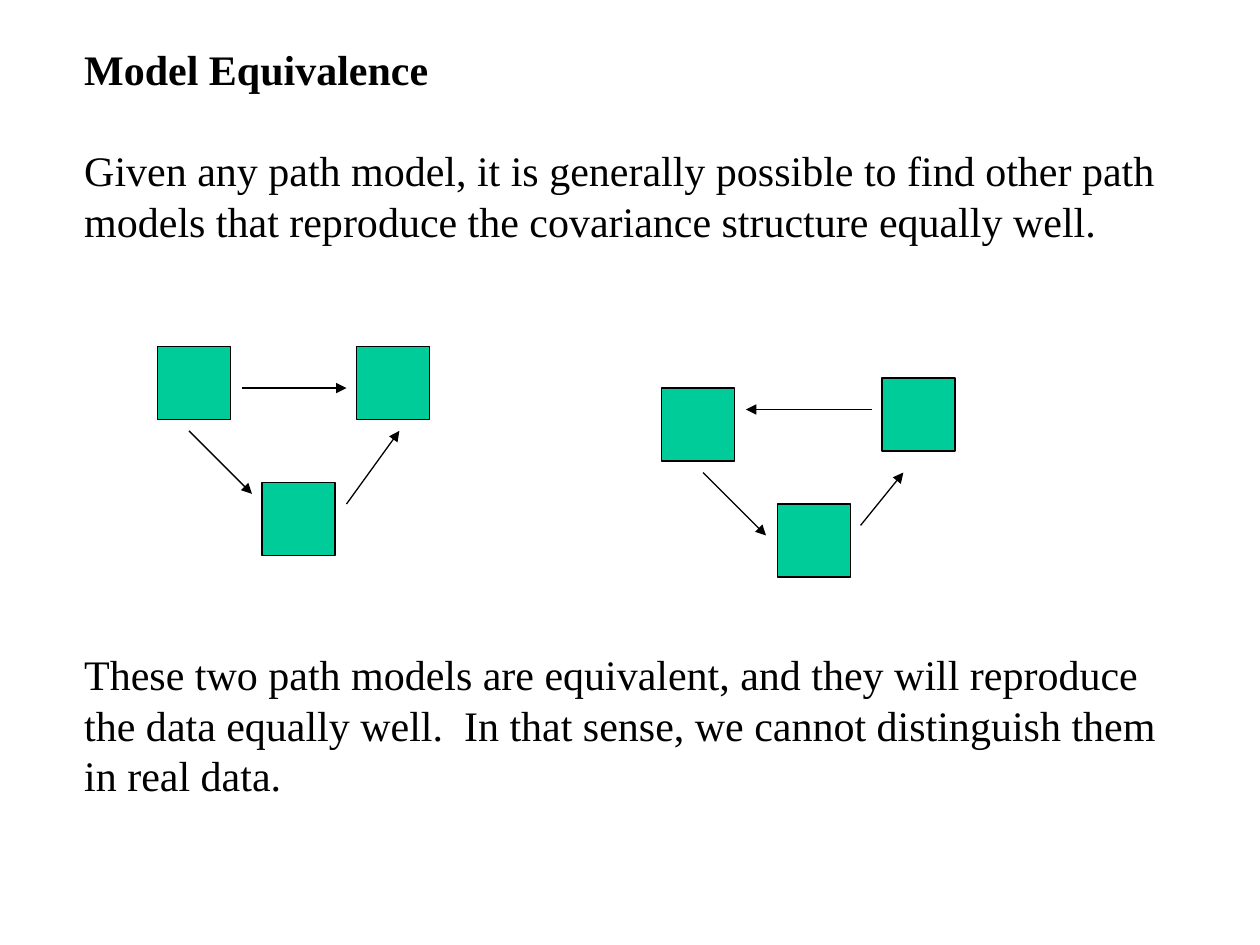
from pptx import Presentation
from pptx.dml.color import RGBColor
from pptx.enum.shapes import MSO_CONNECTOR, MSO_SHAPE
from pptx.enum.text import MSO_AUTO_SIZE
from pptx.oxml.ns import qn
from pptx.util import Inches, Pt
from lxml import etree

RECTANGLE = MSO_SHAPE.RECTANGLE
STRAIGHT = MSO_CONNECTOR.STRAIGHT
FIT_SHAPE = MSO_AUTO_SIZE.SHAPE_TO_FIT_TEXT

BLACK, GREEN = "000000", "00CC99"
LINE_HEIGHT = 28.8
BOX_SIZE = 0.58

PARAGRAPHS = [
    ("Model Equivalence", True, 0),
    ("Given any path model, it is generally possible to find other path "
     "models that reproduce the covariance structure equally well.", False, 1),
    ("These two path models are equivalent, and they will reproduce the data "
     "equally well.  In that sense, we cannot distinguish them in real data.",
     False, 8),
]

PATH_MODELS = [
    {
        "boxes": [(2.08, 3.83), (2.83, 2.75), (1.25, 2.75)],
        "arrows": [
            ((1.5, 3.42), (2, 3.92)),
            ((1.92, 3.08), (2.75, 3.08)),
            ((2.75, 4), (3.17, 3.42)),
        ],
    },
    {
        "boxes": [(6.17, 4), (7, 3), (5.25, 3.08)],
        "arrows": [
            ((5.58, 3.75), (6.08, 4.25)),
            ((6.83, 4.17), (7.17, 3.75)),
            ((6.92, 3.25), (5.92, 3.25)),
        ],
    },
]


def color(value):
    return RGBColor.from_string(value)


def style_line(line):
    line.color.rgb = color(BLACK)
    line.width = Pt(0.75)


def add_text(slide):
    text_box = slide.shapes.add_textbox(
        Inches(0.57), Inches(0.3), Inches(8.85), Inches(6.1))
    frame = text_box.text_frame
    frame.word_wrap = True
    frame.auto_size = FIT_SHAPE
    for index, (text, bold, lines_before) in enumerate(PARAGRAPHS):
        paragraph = frame.add_paragraph() if index else frame.paragraphs[0]
        paragraph.text = text
        paragraph.line_spacing = Pt(LINE_HEIGHT)
        paragraph.space_before = Pt(lines_before * LINE_HEIGHT)
        paragraph.font.name = "Times New Roman"
        paragraph.font.size = Pt(24)
        paragraph.font.bold = bold
        paragraph.font.color.rgb = color(BLACK)


def add_box(slide, left, top):
    box = slide.shapes.add_shape(
        RECTANGLE, Inches(left), Inches(top), Inches(BOX_SIZE), Inches(BOX_SIZE))
    box.shadow.inherit = False
    box.fill.solid()
    box.fill.fore_color.rgb = color(GREEN)
    style_line(box.line)


def add_arrow(slide, start, end):
    arrow = slide.shapes.add_connector(
        STRAIGHT, *(Inches(value) for value in start + end))
    style_line(arrow.line)
    etree.SubElement(arrow.line._get_or_add_ln(), qn("a:tailEnd"), type="triangle")
    etree.SubElement(arrow._element.spPr, qn("a:effectLst"))


def main():
    presentation = Presentation()
    presentation.slide_width = Inches(10)
    presentation.slide_height = Inches(7.5)
    slide = presentation.slides.add_slide(presentation.slide_layouts[6])
    add_text(slide)
    for model in PATH_MODELS:
        for left, top in model["boxes"]:
            add_box(slide, left, top)
        for start, end in model["arrows"]:
            add_arrow(slide, start, end)
    presentation.save("out.pptx")


if __name__ == "__main__":
    main()
